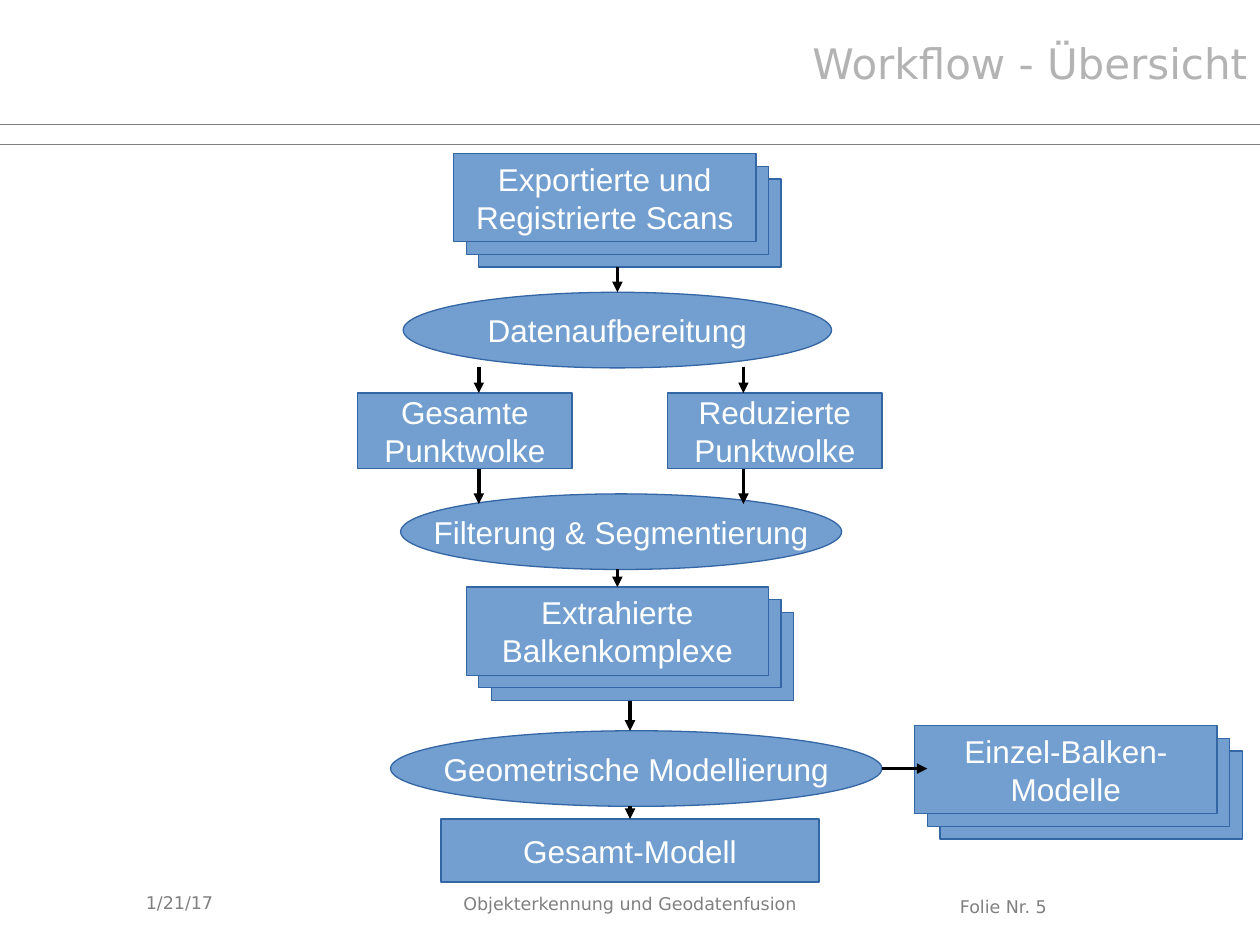
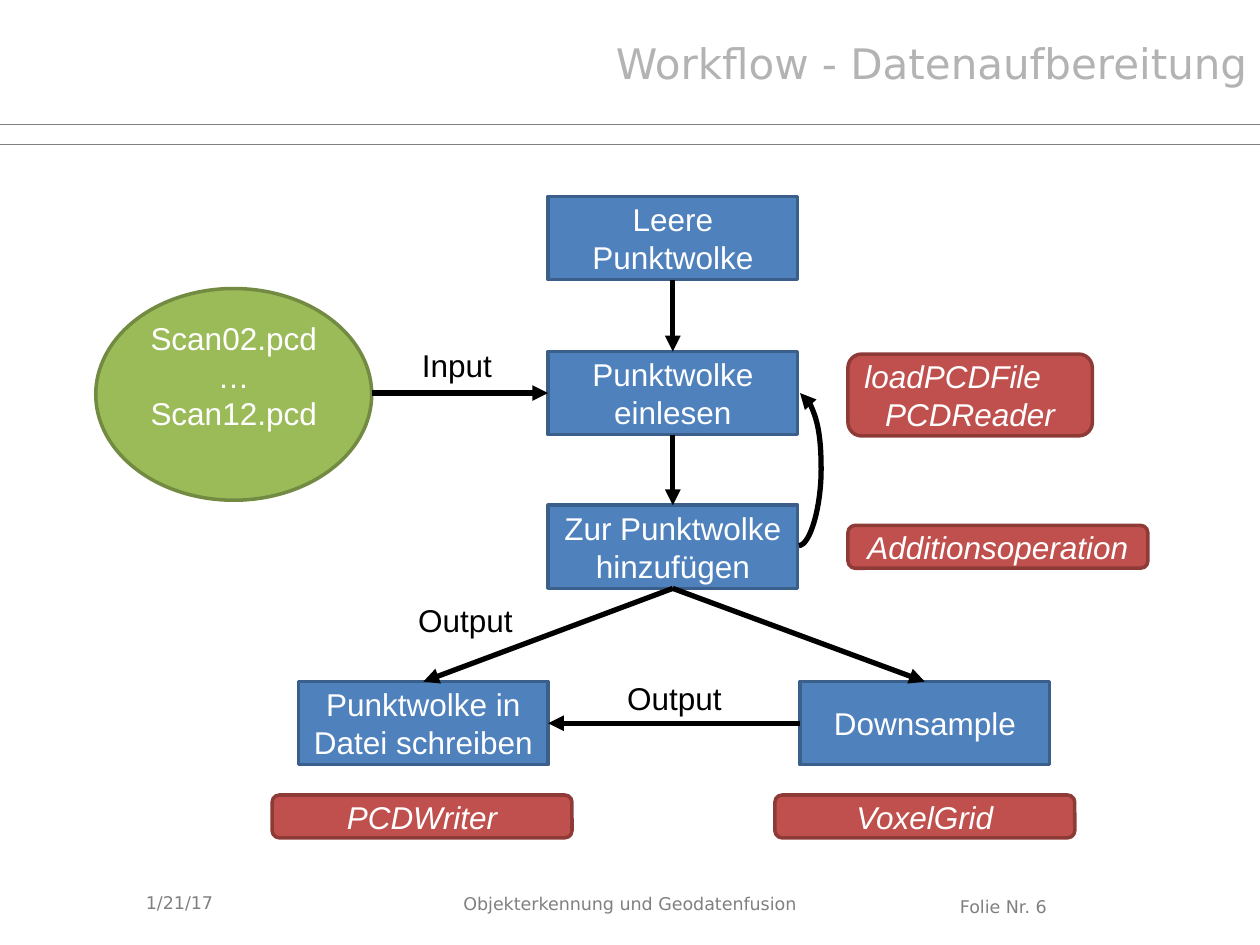
from lxml import etree
from pptx import Presentation, util as u
from pptx.dml import color
from pptx.enum import shapes, text
from pptx.oxml import ns

KIND = shapes.MSO_SHAPE
LINK = shapes.MSO_CONNECTOR
ALIGN = text.PP_ALIGN
ANCHOR = text.MSO_ANCHOR
TOP, LEFT, BOTTOM, RIGHT = range(4)


def rgb(code):
    """Turn a hex string into a colour."""
    return color.RGBColor.from_string(code)


def grid(*cells):
    """Turn columns or rows of a 100 by 75 grid into lengths."""
    return [u.Inches(cell / 10) for cell in cells]


class Deck:
    """Hold the shared style and the current slide."""

    SANS, ARIAL = "DejaVu Sans", "Arial"
    GREY, PALE, WHITE, BLACK = "808080", "B3B3B3", "FFFFFF", "000000"
    STEP = ("729FCF", "3465A4", 0)
    BLUE = ("4F81BD", "3A5F8B", 2)
    GREEN = ("9BBB59", "728A41", 2)
    RED = ("C0504D", "8E3B38", 2)

    def __init__(self):
        """Start an empty deck."""
        self.file = Presentation()
        self.file.slide_width, self.file.slide_height = grid(100, 75)
        self.slide = None

    def page(self, title, num):
        """Add a slide with its title, rules and footer."""
        self.slide = self.file.slides.add_slide(self.file.slide_layouts[5])
        for row in (9.9, 11.5):
            self.line((0, row), (100, row), 0.5, self.GREY, head=False)
        foot = dict(size=10, face=self.SANS, tint=self.GREY)
        self.note((35.8, 70.4, 34.6, 2.6), "Objekterkennung und Geodatenfusion", **foot)
        self.note((75.2, 70.6, 18.9, 2.6), f"Folie Nr. {num}", **foot)
        self.note((10.6, 69.7, 23.3, 3.9), "1/21/17", anchor=ANCHOR.MIDDLE, **foot)
        head = self.slide.shapes.title
        head.left, head.top, head.width, head.height = grid(45, 2.5, 55, 4.9)
        self.label(head, title, 24, self.SANS, self.PALE, ALIGN.RIGHT, ANCHOR.TOP)

    def label(self, shape, words, size=18, face=ARIAL, tint=WHITE,
              align=ALIGN.CENTER, anchor=ANCHOR.MIDDLE, wrap=True, slant=False):
        """Set the text of a shape and its style."""
        frame = shape.text_frame
        frame.text = words
        frame.word_wrap, frame.vertical_anchor = wrap, anchor
        frame.auto_size = text.MSO_AUTO_SIZE.NONE
        for para in frame.paragraphs:
            para.alignment = align
            font = para.font
            font.size, font.name, font.italic = u.Pt(size), face, slant
            font.color.rgb = rgb(tint)

    def note(self, area, words, tint=BLACK, anchor=ANCHOR.TOP, **style):
        """Add a plain text box."""
        box = self.slide.shapes.add_textbox(*grid(*area))
        self.label(box, words, tint=tint, align=ALIGN.LEFT, anchor=anchor, **style)

    def shape(self, area, words="", look=STEP, kind=KIND.RECTANGLE, **style):
        """Add a filled shape with centred text."""
        item = self.slide.shapes.add_shape(kind, *grid(*area))
        fill, edge, width = look
        item.shadow.inherit = False
        item.fill.solid()
        item.fill.fore_color.rgb = rgb(fill)
        item.line.color.rgb = rgb(edge)
        item.line.width = u.Pt(width)
        if words:
            self.label(item, words, **style)
        return item

    def stack(self, col, row, words):
        """Add three staggered boxes and return the front one."""
        for shift in (2, 1):
            self.shape((col + shift, row + shift, 24, 7))
        return self.shape((col, row, 24, 7), words, wrap=False)

    def tag(self, area, words):
        """Add a red rounded label."""
        return self.shape(area, words, self.RED, KIND.ROUNDED_RECTANGLE, slant=True)

    def line(self, start, end, width=0, tint=BLACK, head=True, kind=LINK.STRAIGHT):
        """Add a line between grid points or (shape, side) pairs."""
        free = [isinstance(spot[0], (int, float)) for spot in (start, end)]
        ends = [grid(*spot) if loose else (0, 0) for spot, loose in zip((start, end), free)]
        link = self.slide.shapes.add_connector(kind, *ends[0], *ends[1])
        if not free[0]:
            link.begin_connect(*start)
        if not free[1]:
            link.end_connect(*end)
        link.line.color.rgb = rgb(tint)
        link.line.width = u.Pt(width)
        props = link._element.spPr
        if head:
            etree.SubElement(props.find(ns.qn("a:ln")), ns.qn("a:tailEnd"), type="triangle")
        etree.SubElement(props, ns.qn("a:effectLst"))
        return link

    def bend(self, start, end, ratio):
        """Add a curved arrow that swings out by a multiple of its width."""
        link = self.line(start, end, 3, kind=LINK.CURVE)
        geom = link._element.spPr.find(ns.qn("a:prstGeom"))
        guides = geom.find(ns.qn("a:avLst"))
        if guides is None:
            guides = etree.SubElement(geom, ns.qn("a:avLst"))
        etree.SubElement(guides, ns.qn("a:gd"), name="adj1", fmla=f"val {ratio * 100000}")


def survey(deck):
    """Build the overview of the workflow."""
    deck.page("Workflow - Übersicht", 5)
    deck.stack(36, 12.2, "Exportierte und\nRegistrierte Scans")
    for col, row, width, words in (
        (32, 23.2, 34, "Datenaufbereitung"),
        (31.8, 39.2, 35, "Filterung & Segmentierung"),
        (31, 58, 39, "Geometrische Modellierung"),
    ):
        deck.shape((col, row, width, 6), words, kind=KIND.OVAL, wrap=False)
    for col, words in ((28.4, "Gesamte"), (53, "Reduzierte")):
        deck.shape((col, 31.2, 17, 6), words + "\nPunktwolke", wrap=False)
    beams = deck.stack(37, 46.6, "Extrahierte\nBalkenkomplexe")
    model = deck.shape((35, 65, 30, 5), "Gesamt-Modell", wrap=False)
    deck.stack(72.6, 57.6, "Einzel-Balken-\nModelle")
    deck.line((49, 21.2), (49, 23.2))
    for col in (38, 59):
        deck.line((col, 29.1), (col, 31.2))
        deck.line((col, 37.2), (col, 40))
    deck.line((49, 45.2), (beams, TOP))
    deck.line((50, 55.6), (50, 58))
    deck.line((70, 61), (73.6, 61))
    deck.line((50, 64), (model, TOP))


def prepare(deck):
    """Build the data preparation steps."""
    deck.page("Workflow - Datenaufbereitung", 6)
    blank, load, add, save, thin = [
        deck.shape((col, row, 19.8, 6.6), words, deck.BLUE)
        for col, row, words in (
            (43.5, 15.6, "Leere Punktwolke"),
            (43.5, 27.9, "Punktwolke einlesen"),
            (43.5, 40.1, "Zur Punktwolke hinzufügen"),
            (23.7, 54.1, "Punktwolke in Datei schreiben"),
            (63.5, 54.1, "Downsample"),
        )
    ]
    scans = deck.shape((7.6, 22.9, 21.9, 16.8), "Scan02.pcd\n…\nScan12.pcd",
                       deck.GREEN, KIND.OVAL)
    scans.text_frame.margin_bottom = u.Inches(0.35)
    for start, end in (
        ((blank, BOTTOM), (load, TOP)),
        ((load, BOTTOM), (add, TOP)),
        ((add, BOTTOM), (save, TOP)),
        ((add, BOTTOM), (thin, TOP)),
        ((thin, LEFT), (save, RIGHT)),
        ((29.5, 31.2), (load, LEFT)),
    ):
        deck.line(start, end, 3)
    deck.bend((63.4, 43.3), (63.5, 31.2), 18)
    for col, row, words in ((32.5, 27, "Input"), (48.8, 53.4, "Output"), (32.2, 47.2, "Output")):
        deck.note((col, row, 12.4, 4), words)
    reader = deck.tag((67.3, 28.1, 19.4, 6.5), "loadPCDFile\nPCDReader")
    reader.text_frame.paragraphs[0].alignment = ALIGN.LEFT
    for col, row, words in (
        (67.3, 41.7, "Additionsoperation"),
        (61.5, 63.1, "VoxelGrid"),
        (21.6, 63.1, "PCDWriter"),
    ):
        deck.tag((col, row, 23.8, 3.4), words)


def main():
    """Build and save the deck."""
    deck = Deck()
    survey(deck)
    prepare(deck)
    deck.file.save("out.pptx")


if __name__ == "__main__":
    main()
